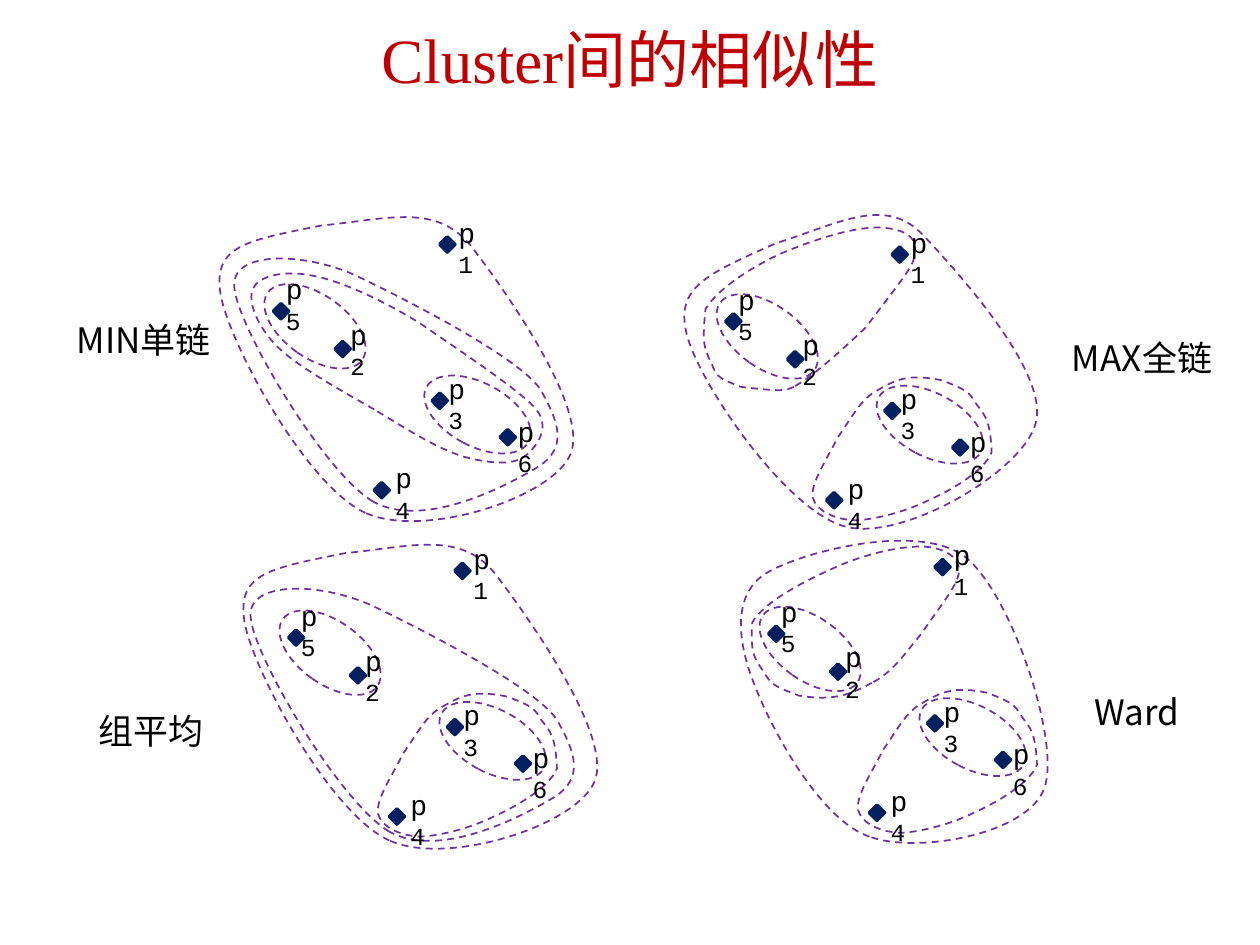
from dataclasses import dataclass
from math import cos, radians, sin

from lxml import etree
from pptx import Presentation
from pptx.dml.color import RGBColor
from pptx.enum.dml import MSO_LINE
from pptx.enum.shapes import MSO_SHAPE
from pptx.enum.text import MSO_ANCHOR, MSO_AUTO_SIZE, PP_ALIGN
from pptx.oxml.ns import qn
from pptx.util import Inches, Pt

DASH = MSO_LINE.DASH
DIAMOND, OVAL = MSO_SHAPE.DIAMOND, MSO_SHAPE.OVAL
MIDDLE, CENTER = MSO_ANCHOR.MIDDLE, PP_ALIGN.CENTER
GROW = MSO_AUTO_SIZE.SHAPE_TO_FIT_TEXT


@dataclass(frozen=True)
class Theme:
    title_color = RGBColor(0xC0, 0x00, 0x00)
    point_color = RGBColor(0x00, 0x20, 0x60)
    cluster_color = RGBColor(0x70, 0x30, 0xA0)
    text_color = RGBColor(0x00, 0x00, 0x00)
    title_font = "Times New Roman"
    point_font = "Courier New"
    cjk_font = "Noto Sans CJK SC"
    title_size, method_size = Pt(36), Pt(20)
    point_size, number_size = Pt(16), Pt(14)
    point_line, cluster_line = Pt(2), Pt(1)


THEME = Theme()
POINT_SIDE = 0.12

# Offsets in inches from the panel's corner: number, diamond, label
POINTS = [
    ("1", (1.32, 0), (1.37, -0.22)),
    ("2", (0.49, 0.83), (0.51, 0.59)),
    ("3", (1.26, 1.24), (1.29, 1.02)),
    ("5", (0, 0.53), (0, 0.23)),
    ("6", (1.8, 1.53), (1.84, 1.36)),
    ("4", (0.8, 1.95), (0.87, 1.73)),
]
# Left, top, rotation of the two pair clusters
PAIRS = [(0.08, 0.25, 305.4), (1.37, 0.95, 298.1)]
PAIR_SIZE = (0.5, 0.92)

# Larger clusters: rotation, start point, then Bezier segments (x1 y1 x2 y2 x y)
MIN_FOUR = (298.5, (0.80, 1.37), [
    (0.54, 1.22, 0.19, 1.03, 0.03, 0.87), (-0.13, 0.71, -0.21, 0.50, -0.16, 0.41),
    (-0.12, 0.31, 0.09, 0.26, 0.32, 0.31), (0.54, 0.35, 0.90, 0.52, 1.17, 0.69),
    (1.43, 0.87, 1.90, 1.18, 2.06, 1.34), (2.22, 1.50, 2.09, 1.66, 2.01, 1.73),
    (1.93, 1.80, 1.79, 1.81, 1.57, 1.76), (1.34, 1.71, 1.05, 1.52, 0.80, 1.37)])
ALL_BUT_P1 = (305.4, (0.79, 2.10), [
    (0.39, 1.86, -0.29, 0.70, -0.31, 0.40), (-0.34, 0.11, 0.23, 0.12, 0.64, 0.30),
    (1.04, 0.49, 2.00, 0.98, 2.13, 1.23), (2.27, 1.48, 2.33, 1.67, 2.11, 1.82),
    (1.88, 1.96, 1.20, 2.33, 0.79, 2.10)])
ALL_POINTS = (305.4, (0.73, 2.19), [
    (0.26, 1.98, -0.36, 0.83, -0.42, 0.45), (-0.48, 0.07, -0.22, 0.03, 0.38, -0.09),
    (0.91, -0.14, 1.31, -0.28, 1.59, 0.10), (1.87, 0.47, 2.50, 1.37, 2.36, 1.72),
    (2.22, 2.07, 1.19, 2.40, 0.73, 2.19)])
P3_P6_P4 = (54.8, (1.20, 1.14), [
    (1.34, 1.06, 1.44, 1.00, 1.72, 1.06), (1.92, 1.14, 1.93, 1.15, 1.99, 1.25),
    (2.06, 1.34, 2.10, 1.38, 2.11, 1.63), (2.05, 1.78, 1.79, 1.93, 1.61, 2.01),
    (1.43, 2.10, 1.20, 2.16, 1.04, 2.17), (0.88, 2.17, 0.72, 2.10, 0.69, 1.99),
    (0.67, 1.88, 0.80, 1.69, 0.89, 1.51), (1.01, 1.34, 1.07, 1.21, 1.20, 1.14)])
MAX_P5_P2_P1 = (237, (0.54, 1.11), [
    (0.48, 1.14, 0.45, 1.15, 0.12, 1.11), (-0.09, 1.03, -0.07, 1.02, -0.12, 0.91),
    (-0.17, 0.81, -0.19, 0.76, -0.16, 0.49), (-0.06, 0.33, 0.19, 0.17, 0.42, 0.06),
    (0.65, -0.04, 0.92, -0.13, 1.12, -0.15), (1.31, -0.17, 1.51, -0.12, 1.50, 0.01),
    (1.50, 0.14, 1.49, 0.14, 1.11, 0.64), (0.71, 1.02, 0.59, 1.08, 0.54, 1.11)])
MAX_ALL = (296.7, (0.95, 2.22), [
    (0.48, 2.10, -0.22, 1.07, -0.31, 0.69), (-0.40, 0.32, -0.16, 0.22, 0.40, -0.03),
    (0.91, -0.19, 1.27, -0.41, 1.57, -0.09), (1.87, 0.23, 2.57, 1.01, 2.46, 1.40),
    (2.36, 1.78, 1.41, 2.34, 0.95, 2.22)])
WARD_P5_P2_P1 = (237.4, (0.82, 0.98), [
    (0.66, 1.06, 0.54, 1.13, 0.24, 1.08), (0.03, 1.00, 0.02, 0.99, -0.04, 0.89),
    (-0.10, 0.80, -0.15, 0.76, -0.13, 0.50), (-0.04, 0.34, 0.27, 0.18, 0.49, 0.08),
    (0.70, -0.02, 0.96, -0.09, 1.14, -0.10), (1.32, -0.12, 1.50, -0.05, 1.51, 0.07),
    (1.53, 0.18, 1.35, 0.38, 1.22, 0.58), (1.07, 0.76, 0.99, 0.89, 0.82, 0.98)])
WARD_ALL = (305.4, (0.80, 2.20), [
    (0.41, 2.07, 0.02, 1.34, -0.11, 1.00), (-0.25, 0.65, -0.29, 0.28, -0.02, 0.11),
    (0.26, -0.06, 1.19, -0.30, 1.56, -0.02), (1.92, 0.26, 2.32, 1.44, 2.19, 1.81),
    (2.07, 2.18, 1.18, 2.34, 0.80, 2.20)])

# Method, label box, panel corner, clusters with their nudge
PANELS = [
    ("MIN单链", (0.51, 2.48, 1.29, 0.44), (2.17, 1.88),
     [(MIN_FOUR, 0, 0), (ALL_BUT_P1, 0, 0), (ALL_POINTS, 0, 0)]),
    ("MAX全链", (8.41, 2.62, 1.4, 0.44), (5.76, 1.96),
     [(MAX_P5_P2_P1, 0, 0), (P3_P6_P4, 0, 0), (MAX_ALL, 0, 0)]),
    ("组平均", (0.68, 5.58, 1.04, 0.44), (2.29, 4.47),
     [(ALL_BUT_P1, 0.01, 0.03), (ALL_POINTS, 0.07, 0.01), (P3_P6_P4, 0.02, 0)]),
    ("Ward", (8.59, 5.43, 0.94, 0.44), (6.1, 4.44),
     [(WARD_ALL, 0, 0), (P3_P6_P4, 0.02, 0), (WARD_P5_P2_P1, 0, 0)]),
]


def add_run(paragraph, text, font_name, size, color, cjk=False):
    run = paragraph.add_run()
    run.text = text
    run.font.name, run.font.size = font_name, size
    run.font.color.rgb = color
    if cjk:
        etree.SubElement(run.font._element, qn("a:ea"), typeface=THEME.cjk_font)


def add_label(slide, box, runs, cjk=False):
    frame = slide.shapes.add_textbox(*map(Inches, box)).text_frame
    frame.word_wrap = True
    frame.auto_size = GROW
    for text, font_name, size in runs:
        add_run(frame.paragraphs[0], text, font_name, size, THEME.text_color, cjk)


def style_cluster(outline, rotation):
    outline.rotation = rotation
    outline.shadow.inherit = False
    outline.fill.background()
    outline.line.color.rgb = THEME.cluster_color
    outline.line.width = THEME.cluster_line
    outline.line.dash_style = DASH


def turn(x, y, degrees):
    angle = radians(degrees)
    return x * cos(angle) - y * sin(angle), x * sin(angle) + y * cos(angle)


def add_cluster(slide, corner, cluster):
    """Draw a closed Bezier outline whose frame is turned by the cluster's rotation."""
    rotation, start, segments = cluster
    pairs = [start] + [s[i:i + 2] for s in segments for i in (0, 2, 4)]
    upright = [turn(Inches(corner[0] + x), Inches(corner[1] + y), -rotation)
               for x, y in pairs]
    builder = slide.shapes.build_freeform(*map(round, upright[0]))
    builder.add_line_segments([tuple(map(round, p)) for p in upright[1:]], close=True)
    outline = builder.convert_to_shape()

    lines = list(outline._element.iter(qn("a:lnTo")))
    for i in range(0, 3 * len(segments), 3):
        curve = etree.Element(qn("a:cubicBezTo"))
        lines[i].addprevious(curve)
        for line in lines[i:i + 3]:
            curve.append(line[0])
            line.getparent().remove(line)

    center_x, center_y = turn(outline.left + outline.width / 2,
                              outline.top + outline.height / 2, rotation)
    outline.left = round(center_x - outline.width / 2)
    outline.top = round(center_y - outline.height / 2)
    style_cluster(outline, rotation)


def add_point(slide, corner, number, diamond_at, label_at):
    left, top = corner
    diamond = slide.shapes.add_shape(
        DIAMOND, Inches(left + diamond_at[0]), Inches(top + diamond_at[1]),
        Inches(POINT_SIDE), Inches(POINT_SIDE))
    diamond.shadow.inherit = False
    diamond.fill.solid()
    diamond.fill.fore_color.rgb = THEME.point_color
    diamond.line.color.rgb = THEME.point_color
    diamond.line.width = THEME.point_line
    add_label(slide, (left + label_at[0], top + label_at[1], 0.44, 0.37),
              [("p", THEME.point_font, THEME.point_size),
               (number, THEME.point_font, THEME.number_size)])


def add_panel(slide, method, label_box, corner, clusters):
    left, top = corner
    for cluster, dx, dy in clusters:
        add_cluster(slide, (left + dx, top + dy), cluster)
    for x, y, rotation in PAIRS:
        pair = slide.shapes.add_shape(OVAL, Inches(left + x), Inches(top + y),
                                      *map(Inches, PAIR_SIZE))
        style_cluster(pair, rotation)
    for point in POINTS:
        add_point(slide, corner, *point)
    add_label(slide, label_box, [(method, THEME.cjk_font, THEME.method_size)], cjk=True)


def add_title(slide, box):
    title = slide.shapes.title
    title.left, title.top, title.width, title.height = map(Inches, box)
    frame = title.text_frame
    frame.vertical_anchor = MIDDLE
    frame.margin_top = Inches(0.16)
    paragraph = frame.paragraphs[0]
    paragraph.alignment = CENTER
    paragraph.line_spacing = 0.9
    add_run(paragraph, "Cluster间的相似性", THEME.title_font, THEME.title_size,
            THEME.title_color, cjk=True)


def main():
    deck = Presentation()
    deck.slide_width, deck.slide_height = Inches(10), Inches(7.5)
    slide = deck.slides.add_slide(deck.slide_layouts[5])
    add_title(slide, (0, 0, 10, 0.89))
    for panel in PANELS:
        add_panel(slide, *panel)
    deck.save("out.pptx")


if __name__ == "__main__":
    main()
